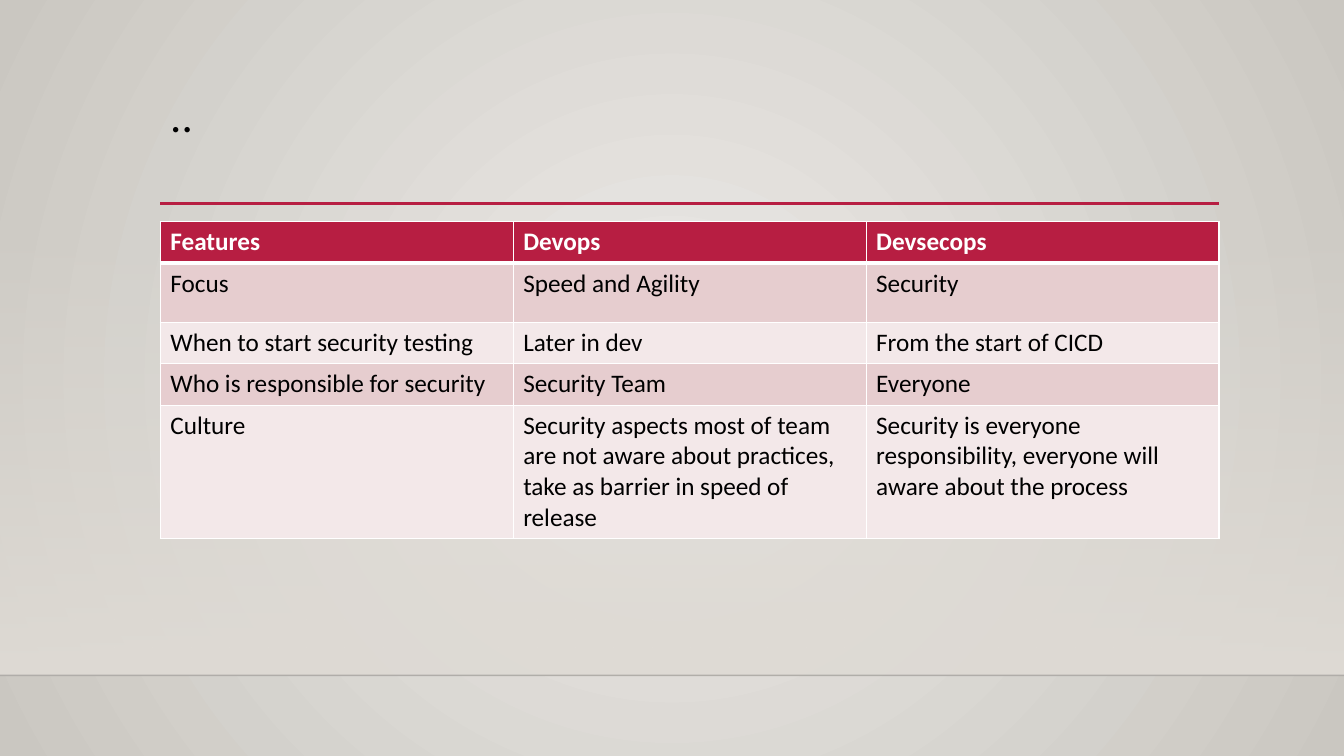
from lxml import etree
from pptx import Presentation
from pptx.dml.color import RGBColor
from pptx.enum import shapes, text
from pptx.oxml import ns
from pptx.util import Inches, Pt

TITLE = ".."
COMPARISON = [
    ("Features", "Devops", "Devsecops"),
    ("Focus", "Speed and Agility", "Security"),
    ("When to start security testing", "Later in dev", "From the start of CICD"),
    ("Who is responsible for security", "Security Team", "Everyone"),
    ("Culture",
     "Security aspects most of team are not aware about practices, take as barrier in speed of release",
     "Security is everyone responsibility, everyone will aware about the process"),
]
ROW_HEIGHTS = [0.41, 0.59, 0.41, 0.41, 1.32]
COLUMN_WIDTH = 3.5
COLORS = {
    "center": "ECEAE7", "edge": "CAC7C1", "wall": "DFDBD5", "floor": "000001",
    "accent": "B71E42", "dark_band": "E6CDCF", "light_band": "F3E8E9",
    "ink": "000000", "white": "FFFFFF",
}
FONT = "Calibri"
WIDTH, HEIGHT = 13.33, 7.5
LEFT, CONTENT_WIDTH = 1.59, 10.5
WALL_TOP, FLOOR_Y = 2.21, 6.7


def rgb(name):
    return RGBColor.from_string(COLORS[name])


def add_color(parent, name, alpha=100):
    color = etree.SubElement(parent, ns.qn("a:srgbClr"), val=COLORS[name])
    if alpha < 100:
        etree.SubElement(color, ns.qn("a:alpha"), val=str(alpha * 1000))


def set_gradient(owner, stops, direction, **settings):
    solid = owner.find(".//" + ns.qn("a:solidFill"))
    gradient = etree.Element(ns.qn("a:gradFill"), rotWithShape="1")
    stop_list = etree.SubElement(gradient, ns.qn("a:gsLst"))
    for position, name, alpha in stops:
        stop = etree.SubElement(stop_list, ns.qn("a:gs"), pos=str(position * 1000))
        add_color(stop, name, alpha)
    shading = etree.SubElement(gradient, ns.qn(direction), **settings)
    solid.getparent().replace(solid, gradient)
    return shading


def add_line(slide, left, right, y, color, width):
    line = slide.shapes.add_connector(
        shapes.MSO_CONNECTOR.STRAIGHT, Inches(left), Inches(y), Inches(right), Inches(y))
    line.line.color.rgb = rgb(color)
    line.line.width = Pt(width)
    etree.SubElement(line.element.spPr, ns.qn("a:effectLst"))
    return line


def style_font(paragraph, size, color, bold=False):
    paragraph.font.name = FONT
    paragraph.font.size = Pt(size)
    paragraph.font.color.rgb = rgb(color)
    paragraph.font.bold = bold


def set_borders(cell, widths):
    properties = cell._tc.get_or_add_tcPr()
    for index, (side, width) in enumerate(widths.items()):
        border = etree.Element(ns.qn("a:ln" + side), w=str(Pt(width)))
        add_color(etree.SubElement(border, ns.qn("a:solidFill")), "white")
        properties.insert(index, border)


def add_backdrop(slide):
    slide.background.fill.solid()
    glow = set_gradient(slide.element, [(0, "center", 100), (100, "edge", 100)],
                        "a:path", path="circle")
    etree.SubElement(glow, ns.qn("a:fillToRect"), l="50000", t="50000", r="50000", b="50000")

    wall = slide.shapes.add_shape(
        shapes.MSO_SHAPE.RECTANGLE, 0, Inches(WALL_TOP), Inches(WIDTH), Inches(FLOOR_Y - WALL_TOP))
    wall.shadow.inherit = False
    wall.line.fill.background()
    wall.fill.solid()
    wall.fill.fore_color.rgb = rgb("wall")
    set_gradient(wall.element, [(0, "wall", 0), (100, "wall", 100)],
                 "a:lin", ang="5400000", scaled="0")

    floor = add_line(slide, 0, WIDTH, FLOOR_Y, "floor", 1)
    floor_color = floor.element.find(".//" + ns.qn("a:srgbClr"))
    etree.SubElement(floor_color, ns.qn("a:alpha"), val="20000")


def add_title(slide):
    title = slide.shapes.add_textbox(Inches(LEFT), Inches(0.88), Inches(CONTENT_WIDTH), Inches(1.15))
    frame = title.text_frame
    frame.word_wrap = True
    frame.vertical_anchor = text.MSO_ANCHOR.TOP
    frame.text = TITLE
    frame.paragraphs[0].line_spacing = 0.9
    style_font(frame.paragraphs[0], 32, "ink")


def add_comparison(slide):
    table = slide.shapes.add_table(
        len(COMPARISON), len(COMPARISON[0]), Inches(LEFT), Inches(2.2),
        Inches(CONTENT_WIDTH), Inches(sum(ROW_HEIGHTS))).table
    for column in table.columns:
        column.width = Inches(COLUMN_WIDTH)
    for r, (row, height) in enumerate(zip(COMPARISON, ROW_HEIGHTS)):
        table.rows[r].height = Inches(height)
        header = r == 0
        band = "accent" if header else "dark_band" if r % 2 else "light_band"
        borders = {"L": 1, "R": 1, "T": 3 if r == 1 else 1, "B": 3 if header else 1}
        for c, words in enumerate(row):
            cell = table.cell(r, c)
            cell.text = words
            cell.fill.solid()
            cell.fill.fore_color.rgb = rgb(band)
            style_font(cell.text_frame.paragraphs[0], 18, "white" if header else "ink", header)
            set_borders(cell, borders)


def main():
    deck = Presentation()
    deck.slide_width, deck.slide_height = Inches(WIDTH), Inches(HEIGHT)
    slide = deck.slides.add_slide(deck.slide_layouts[6])
    add_backdrop(slide)
    add_line(slide, LEFT, LEFT + CONTENT_WIDTH, 2.02, "accent", 2.5)
    add_title(slide)
    add_comparison(slide)
    deck.save("out.pptx")


if __name__ == "__main__":
    main()
